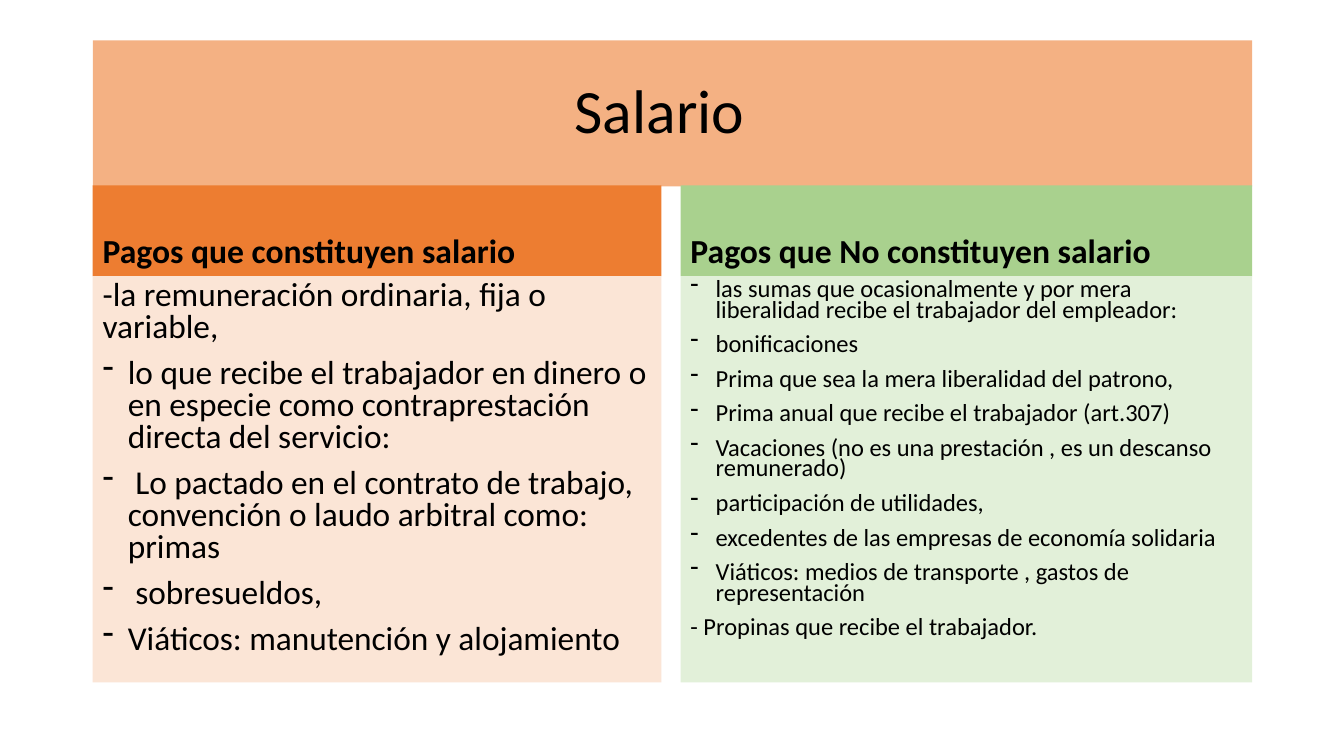
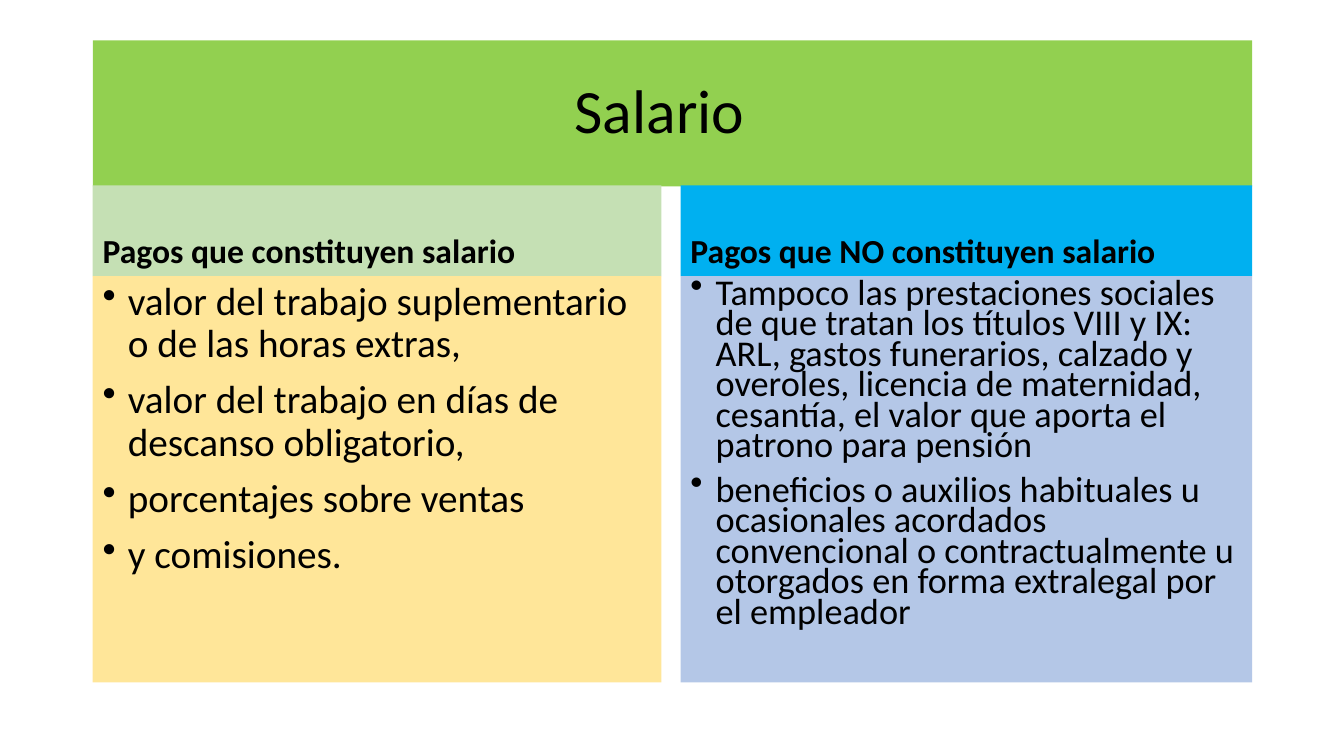
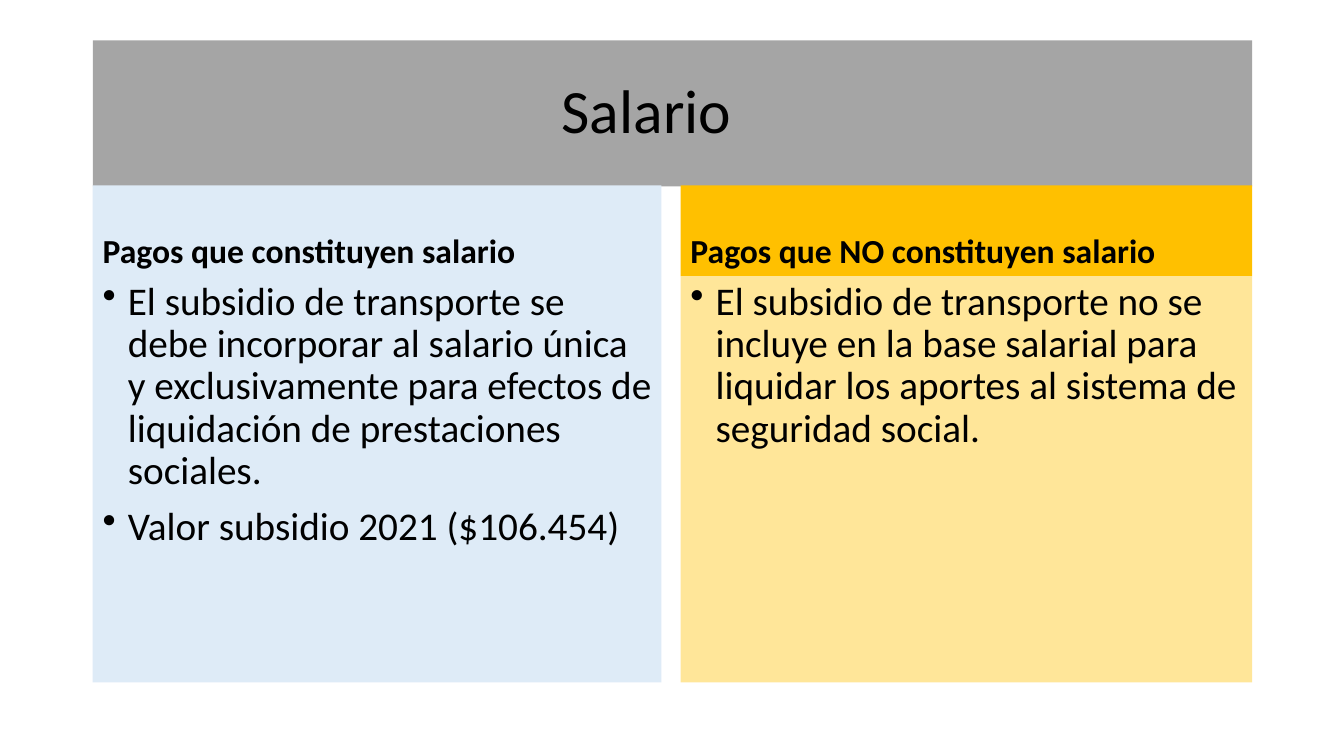
"""Build three slides comparing payments that are and are not salary."""
from dataclasses import dataclass

from lxml.etree import SubElement
from pptx import Presentation
from pptx.dml.color import RGBColor
from pptx.enum.shapes import MSO_SHAPE as Shape
from pptx.enum.text import MSO_ANCHOR as Anchor, MSO_AUTO_SIZE as AutoSize, PP_ALIGN as Align
from pptx.oxml.ns import qn
from pptx.util import Inches, Pt


@dataclass(frozen=True)
class Theme:
    font: str = "Calibri"
    text: str = "000000"
    title_size: float = 44
    heading_size: float = 24
    body_size: float = 28
    line_spacing: float = 0.9
    space_before: float = 10
    orange: str = "ED7D31"
    orange_mid: str = "F4B183"
    orange_pale: str = "FBE5D6"
    lime: str = "92D050"
    green: str = "A9D18E"
    green_light: str = "C5E0B4"
    green_pale: str = "E2F0D9"
    sky: str = "00B0F0"
    blue_light: str = "B4C7E7"
    blue_pale: str = "DEEBF7"
    gold: str = "FFC000"
    gold_light: str = "FFE699"
    grey: str = "A5A5A5"


THEME = Theme()
LEFT = Inches(0.92)
TITLE_TOP, TITLE_WIDTH, TITLE_HEIGHT = Inches(0.4), Inches(11.5), Inches(1.45)
HEADING_TOP, HEADING_HEIGHT = Inches(1.84), Inches(0.9)
BODY_TOP, BODY_HEIGHT = HEADING_TOP + HEADING_HEIGHT, Inches(4.03)
COLUMNS = ((LEFT, Inches(5.64)), (Inches(6.75), Inches(5.67)))
INDENT = Inches(0.25)


@dataclass(frozen=True)
class Column:
    heading: str
    heading_fill: str
    body_fill: str
    items: tuple[str, ...]
    size: float = THEME.body_size
    spacing: float = THEME.line_spacing
    bullet: str = "•"


@dataclass(frozen=True)
class Comparison:
    title_fill: str
    columns: tuple[Column, Column]
    title_inset: float = 4.78


COMPARISONS = (
    Comparison(THEME.orange_mid, (
        Column("Pagos que constituyen salario", THEME.orange, THEME.orange_pale, (
            "-la remuneración ordinaria, fija o variable,",
            "lo que recibe el trabajador en dinero o en especie como "
            "contraprestación directa del servicio:",
            " Lo pactado en el contrato de trabajo, convención o laudo "
            "arbitral como: primas",
            " sobresueldos,",
            "Viáticos: manutención y alojamiento",
        ), 23.8, 0.8, "-"),
        Column("Pagos que No constituyen salario", THEME.green, THEME.green_pale, (
            "las sumas que ocasionalmente y por mera liberalidad recibe el "
            "trabajador del empleador:",
            "bonificaciones",
            "Prima que sea la mera liberalidad del patrono,",
            "Prima anual que recibe el trabajador (art.307)",
            "Vacaciones (no es una prestación , es un descanso remunerado)",
            "participación de utilidades,",
            "excedentes de las empresas de economía solidaria",
            "Viáticos: medios de transporte , gastos de representación",
            "- Propinas que recibe el trabajador.",
        ), 17.5, 0.7, "-"),
    )),
    Comparison(THEME.lime, (
        Column("Pagos que constituyen salario", THEME.green_light, THEME.gold_light, (
            "valor del trabajo suplementario o de las horas extras,",
            "valor del trabajo en días de descanso obligatorio,",
            "porcentajes sobre ventas",
            "y comisiones.",
        )),
        Column("Pagos que NO constituyen salario", THEME.sky, THEME.blue_light, (
            "Tampoco las prestaciones sociales de que tratan los títulos VIII "
            "y IX: ARL, gastos funerarios, calzado y overoles, licencia de "
            "maternidad, cesantía, el valor que aporta el patrono para pensión",
            "beneficios o auxilios habituales u ocasionales acordados "
            "convencional o contractualmente u otorgados en forma extralegal "
            "por el empleador",
        ), 25.9, 0.7),
    )),
    Comparison(THEME.grey, (
        Column("Pagos que constituyen salario", THEME.blue_pale, THEME.blue_pale, (
            "El subsidio de transporte se debe incorporar al salario única y "
            "exclusivamente para efectos de liquidación de prestaciones sociales.",
            "Valor subsidio 2021 ($106.454)",
        )),
        Column("Pagos que NO constituyen salario", THEME.gold, THEME.gold_light, (
            "El subsidio de transporte no se incluye en la base salarial para "
            "liquidar los aportes al sistema de seguridad social.",
        )),
    ), 4.65),
)


def paint(sp, fill: str) -> None:
    sp.fill.solid()
    sp.fill.fore_color.rgb = RGBColor.from_string(fill)
    sp.line.fill.background()


def format_paragraph(p, text: str, size: float, spacing: float,
                     before: float = THEME.space_before, bold: bool = False,
                     bullet: str = "") -> None:
    p.text = text
    p.alignment = Align.LEFT
    p.line_spacing = spacing
    p.space_before = Pt(before)
    if bullet:
        props = p._p.get_or_add_pPr()
        props.set("marL", str(INDENT))
        props.set("indent", str(-INDENT))
        SubElement(props, qn("a:buChar"), char=bullet)
    font = p.font
    font.name, font.size, font.bold = THEME.font, Pt(size), bold
    font.color.rgb = RGBColor.from_string(THEME.text)


def add_panel(slide, left: int, top: int, width: int, height: int, fill: str, anchor: Anchor):
    sp = slide.shapes.add_shape(Shape.RECTANGLE, left, top, width, height)
    sp.shadow.inherit = False
    paint(sp, fill)
    tf = sp.text_frame
    tf.word_wrap = True
    tf.vertical_anchor = anchor
    return tf


def add_column(slide, column: Column, left: int, width: int) -> None:
    tf = add_panel(slide, left, HEADING_TOP, width, HEADING_HEIGHT,
                   column.heading_fill, Anchor.BOTTOM)
    format_paragraph(tf.paragraphs[0], column.heading, THEME.heading_size,
                     THEME.line_spacing, bold=True)
    tf = add_panel(slide, left, BODY_TOP, width, BODY_HEIGHT, column.body_fill, Anchor.TOP)
    for i, item in enumerate(column.items):
        p = tf.add_paragraph() if i else tf.paragraphs[0]
        bullet = "" if item.startswith("-") else column.bullet
        format_paragraph(p, item, column.size, column.spacing, bullet=bullet)


def add_comparison(prs, comparison: Comparison) -> None:
    slide = prs.slides.add_slide(prs.slide_layouts[5])
    title = slide.shapes.title
    title.left, title.top, title.width, title.height = LEFT, TITLE_TOP, TITLE_WIDTH, TITLE_HEIGHT
    paint(title, comparison.title_fill)
    tf = title.text_frame
    tf.auto_size = AutoSize.NONE
    tf.vertical_anchor = Anchor.MIDDLE
    tf.margin_left = Inches(comparison.title_inset)
    format_paragraph(tf.paragraphs[0], "Salario", THEME.title_size, THEME.line_spacing, before=0)
    for column, (left, width) in zip(comparison.columns, COLUMNS):
        add_column(slide, column, left, width)


def main() -> None:
    prs = Presentation()
    prs.slide_width, prs.slide_height = Inches(13.33), Inches(7.5)
    for comparison in COMPARISONS:
        add_comparison(prs, comparison)
    prs.save("out.pptx")


if __name__ == "__main__":
    main()
